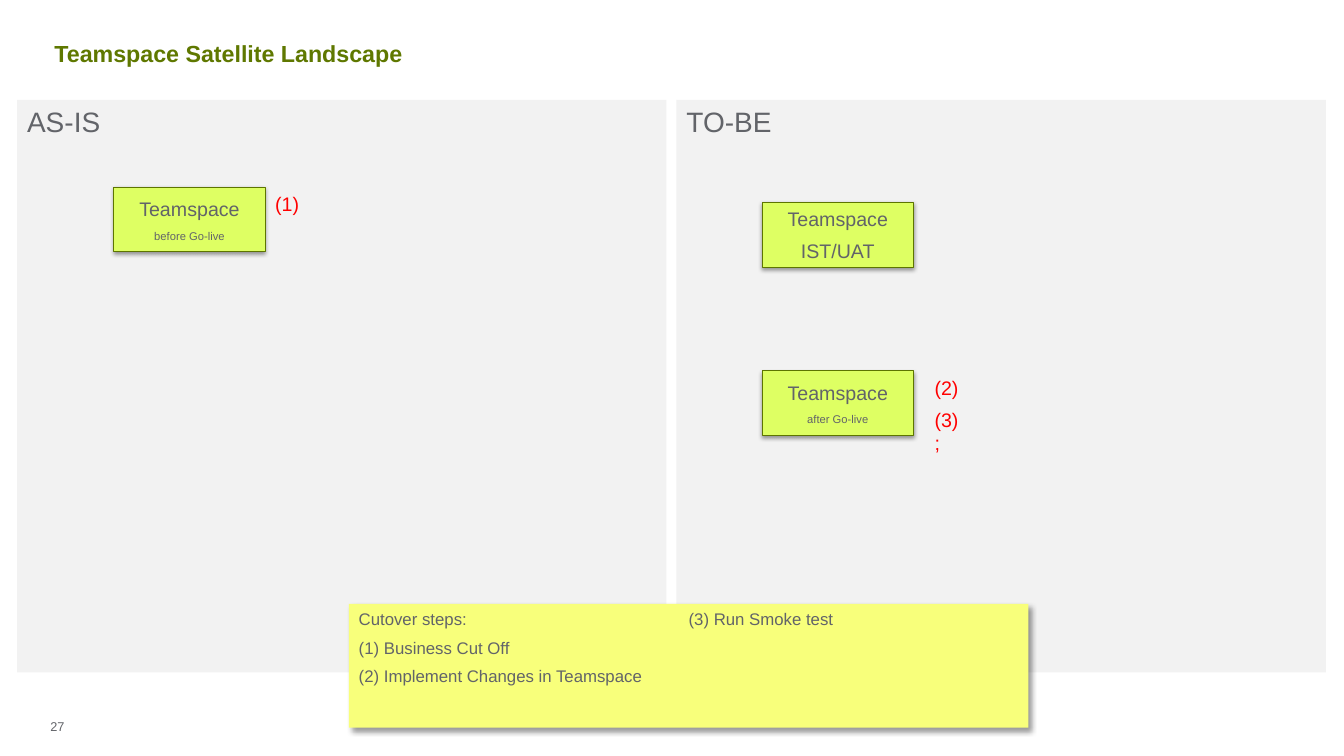
"""Build the Teamspace satellite landscape slide with its cutover steps."""
from lxml import etree
from pptx import Presentation
from pptx.dml.color import RGBColor
from pptx.enum.shapes import MSO_SHAPE
from pptx.enum.text import MSO_ANCHOR, MSO_AUTO_SIZE, PP_ALIGN
from pptx.oxml.ns import qn
from pptx.util import Inches, Pt

GREY = RGBColor(0x62, 0x64, 0x69)
RED = RGBColor(0xFF, 0x00, 0x00)
TITLE_GREEN = RGBColor(0x5F, 0x78, 0x00)
BORDER_GREEN = RGBColor(0x5D, 0x75, 0x00)
LIME = RGBColor(0xDE, 0xFF, 0x63)
YELLOW = RGBColor(0xF8, 0xFF, 0x7B)
PANEL = RGBColor(0xF2, 0xF2, 0xF2)


def style(paragraph, size, color=GREY, bold=False, after=6):
    font = paragraph.font
    font.name = "Arial"
    font.size = Pt(size)
    font.bold = bold
    font.color.rgb = color
    paragraph.space_after = Pt(after)


def write(frame, lines, color=GREY, align=PP_ALIGN.LEFT):
    frame.text = "\n".join(text for text, _ in lines)
    for paragraph, (_, size) in zip(frame.paragraphs, lines):
        style(paragraph, size, color)
        paragraph.alignment = align


def add_box(slide, left, top, width, height, fill):
    box = slide.shapes.add_shape(
        MSO_SHAPE.RECTANGLE, Inches(left), Inches(top), Inches(width), Inches(height))
    box.shadow.inherit = False
    box.fill.solid()
    box.fill.fore_color.rgb = fill
    box.line.fill.background()
    box.text_frame.vertical_anchor = MSO_ANCHOR.TOP
    return box


def cast_shadow(box, alpha, blur, distance, degrees):
    effects = box._element.spPr.find(qn("a:effectLst"))
    shadow = etree.SubElement(
        effects, qn("a:outerShdw"), blurRad=str(Pt(blur)), dist=str(Pt(distance)),
        dir=str(degrees * 60000), algn="tl", rotWithShape="0")
    black = etree.SubElement(shadow, qn("a:srgbClr"), val="000000")
    etree.SubElement(black, qn("a:alpha"), val=str(alpha * 1000))


def add_panel(slide, left, heading):
    panel = add_box(slide, left, 0.99, 6.44, 5.68, PANEL)
    write(panel.text_frame, [(heading, 20)])


def add_system(slide, left, top, state, state_size):
    system = add_box(slide, left, top, 1.5, 0.64, LIME)
    system.line.color.rgb = BORDER_GREEN
    system.line.width = Pt(0.75)
    cast_shadow(system, 38, 3.1, 1.6, 90)
    system.text_frame.vertical_anchor = MSO_ANCHOR.MIDDLE
    write(system.text_frame, [("Teamspace", 14), (state, state_size)], align=PP_ALIGN.CENTER)


def add_label(slide, left, top, width, height, lines, color=GREY):
    label = slide.shapes.add_textbox(
        Inches(left), Inches(top), Inches(width), Inches(height))
    write(label.text_frame, lines, color)
    return label.text_frame


def number_step(paragraph):
    properties = paragraph._p.get_or_add_pPr()
    properties.set("marL", str(Inches(0.25)))
    properties.set("indent", str(Inches(-0.25)))
    numbering = etree.Element(qn("a:buAutoNum"), type="arabicParenBoth")
    properties.find(qn("a:defRPr")).addprevious(numbering)


def add_cutover_steps(slide):
    note = add_box(slide, 3.46, 5.99, 6.74, 1.23, YELLOW)
    cast_shadow(note, 40, 4, 3, 45)
    frame = note.text_frame
    frame.word_wrap = True
    frame.margin_bottom = Inches(0.25)
    frame._txBody.bodyPr.set("numCol", "2")
    steps = ["Business Cut Off", "Implement Changes in Teamspace", "Run Smoke test"]
    write(frame, [(text, 12) for text in ["Cutover steps:", *steps]])
    for paragraph in frame.paragraphs[1:]:
        number_step(paragraph)


def set_title(slide, text):
    title = slide.shapes.title
    title.left, title.top = Inches(0.54), Inches(0.1)
    title.width, title.height = Inches(12.33), Inches(0.89)
    frame = title.text_frame
    frame.text = text
    frame.auto_size = MSO_AUTO_SIZE.NONE
    frame.vertical_anchor = MSO_ANCHOR.MIDDLE
    frame.margin_left = frame.margin_right = 0
    frame.margin_top = frame.margin_bottom = 0
    heading = frame.paragraphs[0]
    heading.alignment = PP_ALIGN.LEFT
    heading.line_spacing = 0.9
    style(heading, 16.6, TITLE_GREEN, bold=True, after=0)


def main():
    deck = Presentation()
    deck.slide_width, deck.slide_height = Inches(13.33), Inches(7.5)
    slide = deck.slides.add_slide(deck.slide_layouts[5])
    set_title(slide, "Teamspace Satellite Landscape")
    page_number = add_label(slide, 0.43, 7.09, 0.81, 0.41, [("27", 9.1)])
    page_number.margin_left = Inches(0.07)
    page_number.margin_top = Inches(0.04)
    add_panel(slide, 6.71, "TO-BE")
    add_panel(slide, 0.17, "AS-IS")
    add_system(slide, 1.13, 1.86, "before Go-live", 8)
    add_system(slide, 7.56, 3.68, "after Go-live", 8)
    add_system(slide, 7.56, 2.01, "IST/UAT", 14)
    add_label(slide, 2.63, 1.86, 0.45, 0.33, [("(1)", 14)], RED)
    add_label(slide, 9.17, 3.68, 0.45, 1.14, [("(2)", 14), ("(3);", 14)], RED)
    add_cutover_steps(slide)
    deck.save("out.pptx")


if __name__ == "__main__":
    main()
